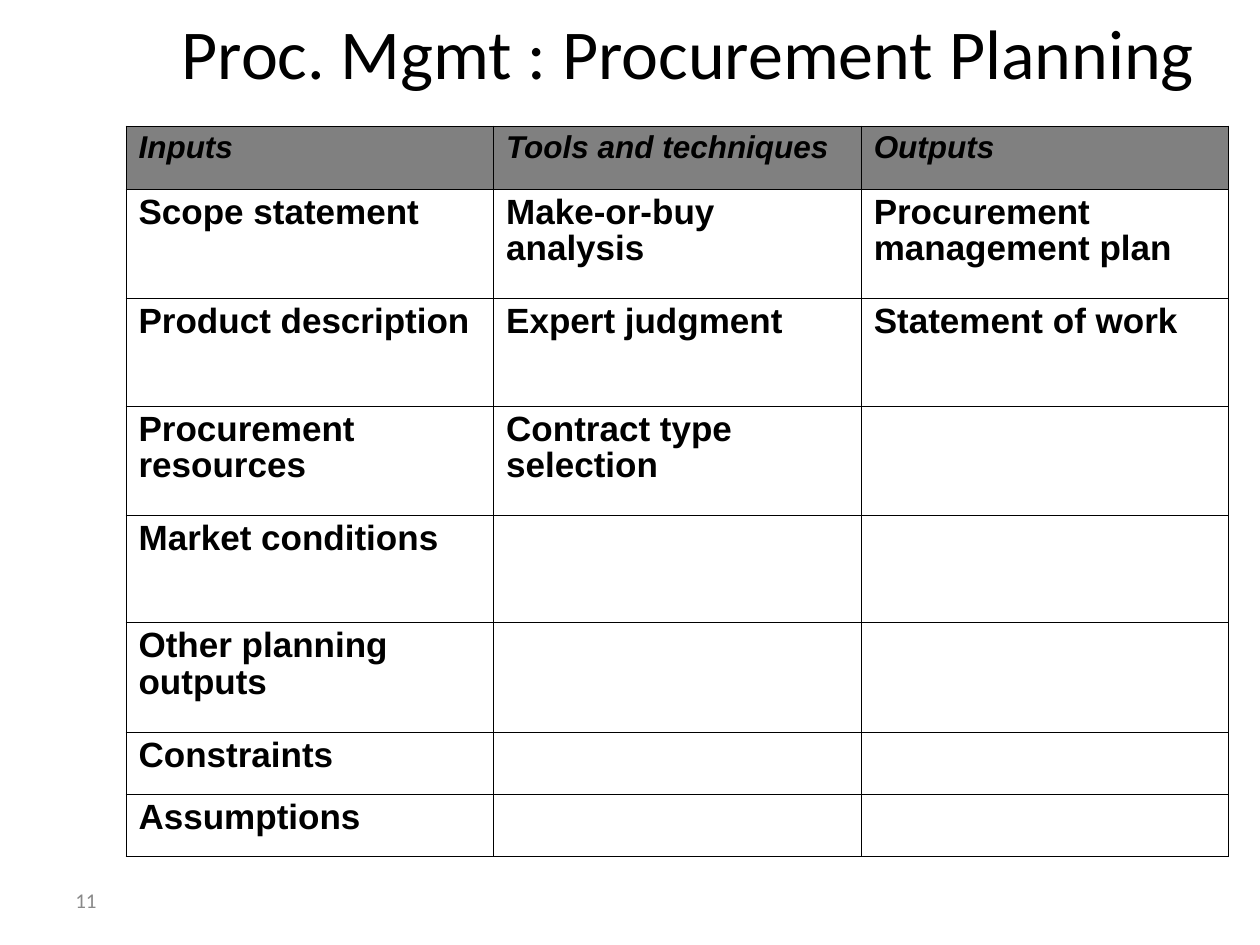
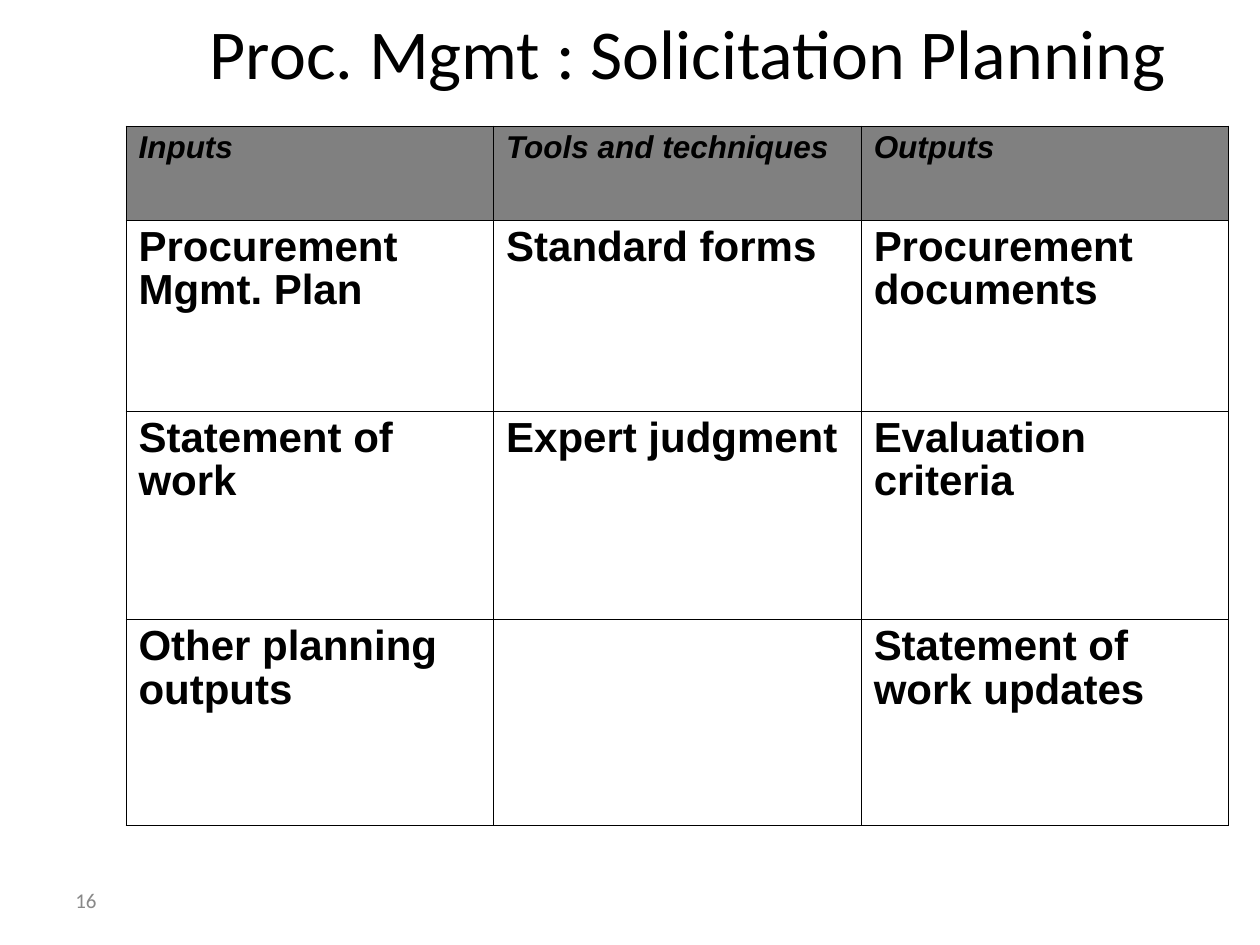
from lxml import etree
from pptx import Presentation
from pptx import util as u
from pptx.dml import color
from pptx.enum import text
from pptx.oxml import ns

BLACK, GREY, PAGE_GREY = "000000", "808080", "898989"
HEADINGS = ["Inputs", "Tools and techniques", "Outputs"]
OUTER, INNER = 0.5, 0.23
COLUMN_WIDTH = 7.41
TITLE_ONLY = 5

PLANNING_ROWS = [
    ["Scope statement", "Make-or-buy analysis", "Procurement management plan"],
    ["Product description", "Expert judgment", "Statement of work"],
    ["Procurement resources", "Contract type selection", ""],
    ["Market conditions", "", ""],
    ["Other planning outputs", "", ""],
    ["Constraints", "", ""],
    ["Assumptions", "", ""],
]
SOLICITATION_ROWS = [
    ["Procurement Mgmt. Plan", "Standard forms", "Procurement documents"],
    ["Statement of work", "Expert judgment", "Evaluation criteria"],
    ["Other planning outputs", "", "Statement of work updates"],
]


def rgb(value):
    return color.RGBColor.from_string(value)


def add_run(paragraph, words, size, font, ink, bold=False, italic=False):
    run = paragraph.add_run()
    run.text = words
    run.font.size = u.Pt(size)
    run.font.name = font
    run.font.bold = bold
    run.font.italic = italic
    run.font.color.rgb = rgb(ink)


def set_title(slide, words):
    title = slide.shapes.title
    title.left, title.top = u.Cm(2.34), u.Cm(0.18)
    title.width, title.height = u.Cm(23.06), u.Cm(1.7)
    frame = title.text_frame
    frame.auto_size = text.MSO_AUTO_SIZE.NONE
    frame.word_wrap = True
    frame.vertical_anchor = text.MSO_ANCHOR.MIDDLE
    frame.margin_left = frame.margin_right = 0
    frame.margin_top = frame.margin_bottom = 0
    paragraph = frame.paragraphs[0]
    paragraph.alignment = text.PP_ALIGN.CENTER
    add_run(paragraph, words, 40, "Calibri", BLACK)


def add_page_number(slide, number):
    footer = slide.shapes.add_textbox(u.Cm(1.27), u.Cm(17.65), u.Cm(5.92), u.Cm(1.01))
    frame = footer.text_frame
    frame.word_wrap = True
    frame.vertical_anchor = text.MSO_ANCHOR.MIDDLE
    add_run(frame.paragraphs[0], str(number), 12, "Calibri", PAGE_GREY)


def set_borders(cell, widths):
    properties = cell._tc.get_or_add_tcPr()
    for side, width in zip("LRTB", widths):
        line = etree.SubElement(properties, ns.qn(f"a:ln{side}"), w=str(u.Pt(width)))
        fill = etree.SubElement(line, ns.qn("a:solidFill"))
        etree.SubElement(fill, ns.qn("a:srgbClr"), val=BLACK)


def add_process_table(slide, body, row_heights, body_size):
    rows = [HEADINGS] + body
    last_row, last_column = len(rows) - 1, len(HEADINGS) - 1
    table = slide.shapes.add_table(
        len(rows), len(HEADINGS), u.Cm(2.54), u.Cm(2.54),
        u.Cm(COLUMN_WIDTH * len(HEADINGS)), u.Cm(sum(row_heights)),
    ).table
    table.first_row = table.horz_banding = False
    for column in table.columns:
        column.width = u.Cm(COLUMN_WIDTH)
    for r, (entries, height) in enumerate(zip(rows, row_heights)):
        table.rows[r].height = u.Cm(height)
        heading = r == 0
        for c, entry in enumerate(entries):
            cell = table.cell(r, c)
            on_edge = (c == 0, c == last_column, heading, r == last_row)
            set_borders(cell, [OUTER if edge else INNER for edge in on_edge])
            if heading:
                cell.fill.solid()
                cell.fill.fore_color.rgb = rgb(GREY)
            else:
                cell.fill.background()
            if entry:
                paragraph = cell.text_frame.paragraphs[0]
                paragraph.line_spacing = 0.93
                size = 18 if heading else body_size
                add_run(paragraph, entry, size, "Arial", BLACK, True, heading)


def add_process_slide(deck, process, number, body, row_heights, body_size):
    slide = deck.slides.add_slide(deck.slide_layouts[TITLE_ONLY])
    add_page_number(slide, number)
    set_title(slide, f"Proc. Mgmt : {process}")
    add_process_table(slide, body, row_heights, body_size)


def main():
    deck = Presentation()
    deck.slide_width, deck.slide_height = u.Cm(25.4), u.Cm(19.05)
    add_process_slide(deck, "Procurement Planning", 11, PLANNING_ROWS,
                      [1.27, 2.21, 2.16, 2.21, 2.16, 2.21, 1.25, 1.25], 20)
    add_process_slide(deck, "Solicitation Planning", 16, SOLICITATION_ROWS,
                      [1.9, 3.85, 4.2, 4.14], 24)
    deck.save("out.pptx")


if __name__ == "__main__":
    main()
